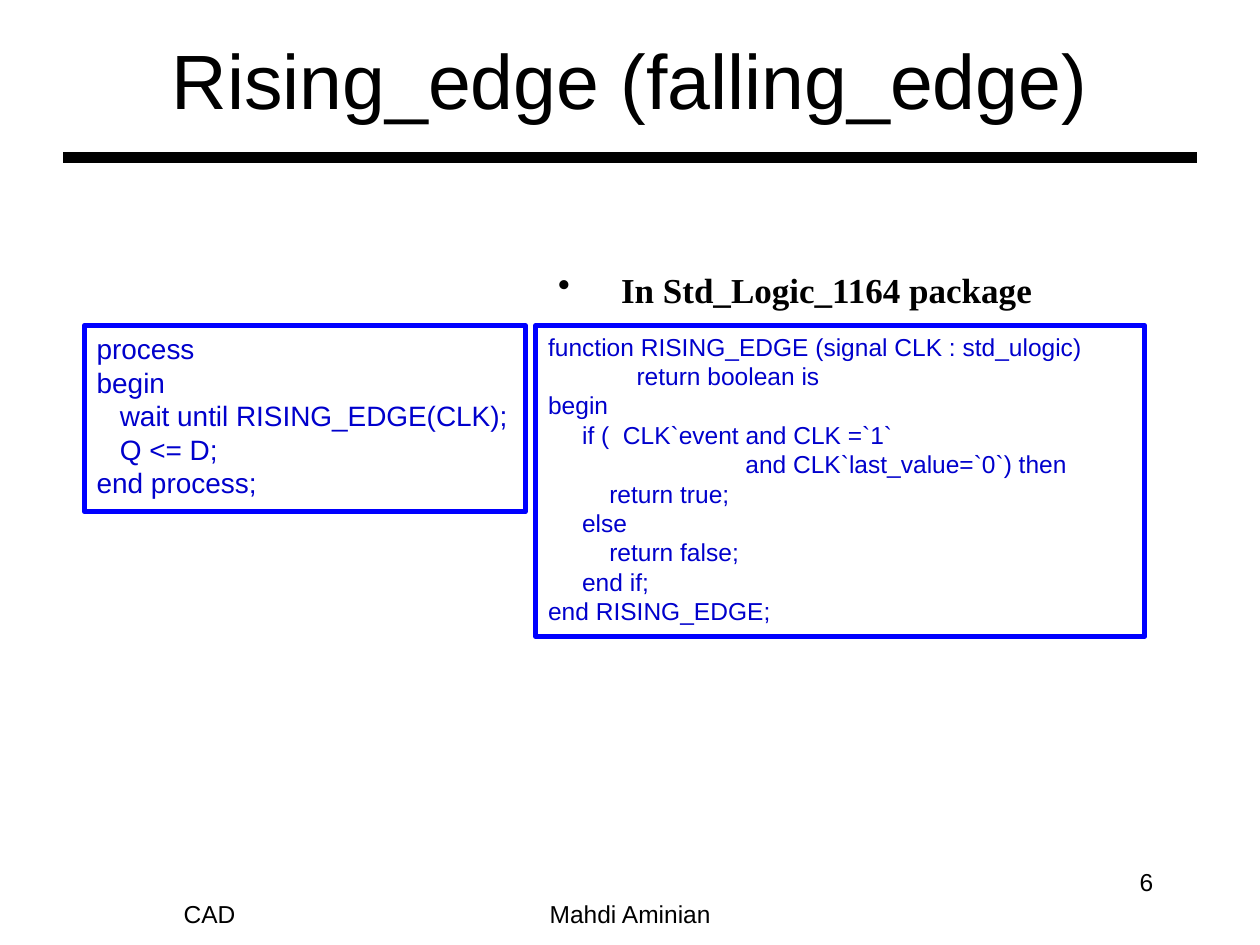
from lxml.etree import SubElement
from pptx import Presentation
from pptx.dml.color import RGBColor
from pptx.enum.shapes import MSO_CONNECTOR, MSO_SHAPE
from pptx.enum.text import MSO_ANCHOR, PP_ALIGN
from pptx.oxml.ns import qn
from pptx.util import Cm, Pt

COLORS = {"text": "000000", "code": "0000CC", "frame": "0000FF"}

WAIT_PROCESS = """process
begin
   wait until RISING_EDGE(CLK);
   Q <= D;
end process;"""

EDGE_FUNCTION = """function RISING_EDGE (signal CLK : std_ulogic)
             return boolean is
begin
     if (  CLK`event and CLK =`1`
                             and CLK`last_value=`0`) then
         return true;
     else
         return false;
     end if;
end RISING_EDGE;"""


def color(name):
    return RGBColor.from_string(COLORS[name])


def style_paragraph(paragraph, size, name="Arial", tint="text", bold=False):
    paragraph.font.name = name
    paragraph.font.size = Pt(size)
    paragraph.font.bold = bold
    paragraph.font.color.rgb = color(tint)


def add_label(slide, box, text, size, align, anchor=MSO_ANCHOR.MIDDLE):
    frame = slide.shapes.add_textbox(*map(Cm, box)).text_frame
    frame.word_wrap = True
    frame.vertical_anchor = anchor
    paragraph = frame.paragraphs[0]
    paragraph.text = text
    paragraph.alignment = align
    style_paragraph(paragraph, size)


def add_header(slide, box, title):
    left, top, width, height = box
    margin = 0.64
    bottom = Cm(top + height)
    rule = slide.shapes.add_connector(
        MSO_CONNECTOR.STRAIGHT,
        Cm(left), bottom, Cm(left + width), bottom)
    rule.line.color.rgb = color("text")
    rule.line.width = Pt(6)
    SubElement(rule.element.spPr, qn("a:effectLst"))
    add_label(slide, (left + margin, top, width - 2 * margin, height),
              title, 44, PP_ALIGN.CENTER)


def add_bullet(slide, box, text):
    frame = slide.shapes.add_textbox(*map(Cm, box)).text_frame
    frame.word_wrap = True
    paragraph = frame.paragraphs[0]
    paragraph.text = text
    properties = paragraph._p.get_or_add_pPr()
    properties.set("marL", str(Cm(1.27)))
    properties.set("indent", str(Cm(-1.27)))
    SubElement(properties, qn("a:buChar"), char="•")
    style_paragraph(paragraph, 20, "Times New Roman", bold=True)


def add_code(slide, box, code, size):
    panel = slide.shapes.add_shape(MSO_SHAPE.RECTANGLE, *map(Cm, box))
    panel.shadow.inherit = False
    panel.fill.background()
    panel.line.color.rgb = color("frame")
    panel.line.width = Pt(2.75)
    frame = panel.text_frame
    frame.word_wrap = True
    frame.vertical_anchor = MSO_ANCHOR.TOP
    paragraph = frame.paragraphs[0]
    paragraph.text = code
    paragraph.alignment = PP_ALIGN.LEFT
    paragraph.line_spacing = Pt(size * 1.2)
    style_paragraph(paragraph, size, tint="code")


def add_footer(slide, box, course, author, number):
    left, top, width, height = box
    label_width = 8.05
    for offset, text in ((0, course), (8.48, author)):
        add_label(slide, (left + offset, top, label_width, height),
                  text, 14, PP_ALIGN.CENTER)
    number_width = 1.7
    add_label(slide,
              (left + width - number_width, top - 0.43, number_width, height),
              number, 14, PP_ALIGN.RIGHT, MSO_ANCHOR.TOP)


def main():
    presentation = Presentation()
    presentation.slide_width = Cm(25.4)
    presentation.slide_height = Cm(19.05)
    slide = presentation.slides.add_slide(presentation.slide_layouts[6])
    add_header(slide, (1.27, 0, 22.86, 3.18), "Rising_edge (falling_edge)")
    add_bullet(slide, (11, 5.28, 10.59, 1.1), "In Std_Logic_1164 package")
    add_code(slide, (1.7, 6.56, 8.89, 3.76), WAIT_PROCESS, 16)
    add_code(slide, (10.8, 6.56, 12.28, 6.27), EDGE_FUNCTION, 14)
    add_footer(slide, (0.2, 17.78, 23.3, 1.27), "CAD", "Mahdi Aminian", "6")
    presentation.save("out.pptx")


if __name__ == "__main__":
    main()
